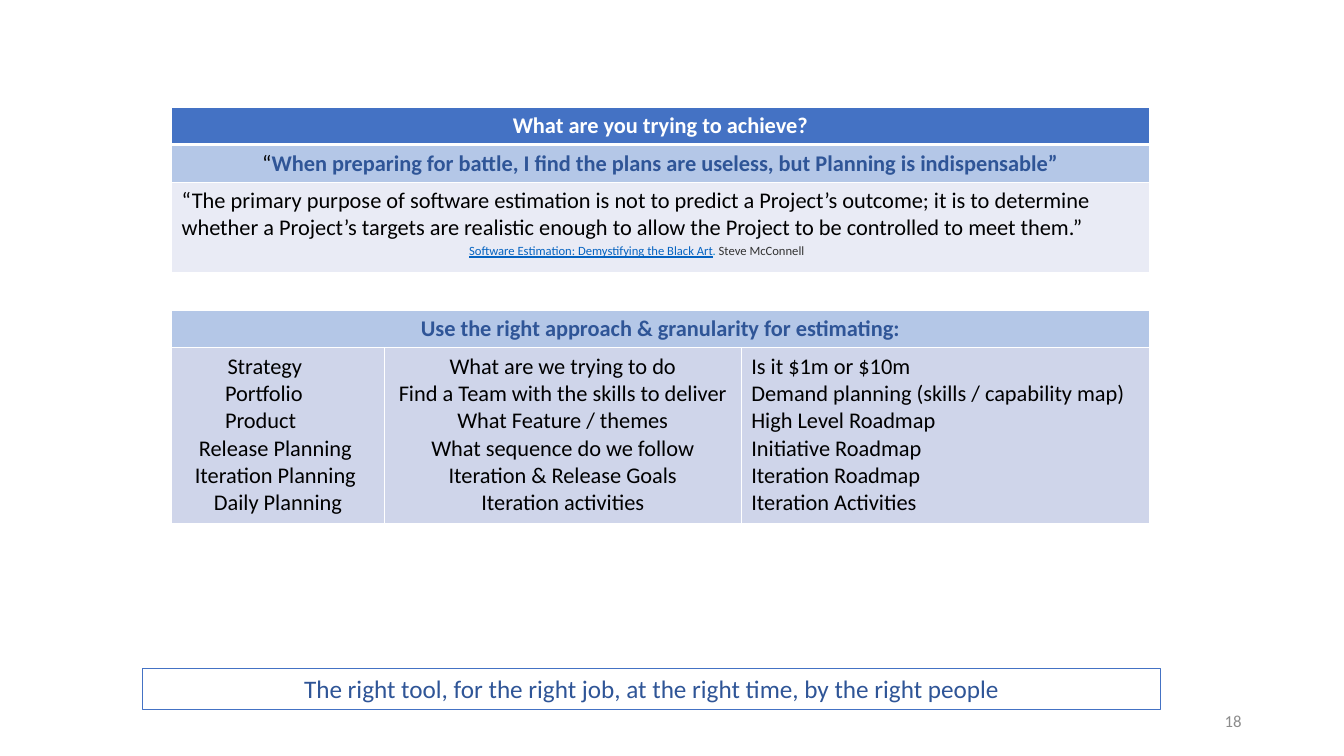
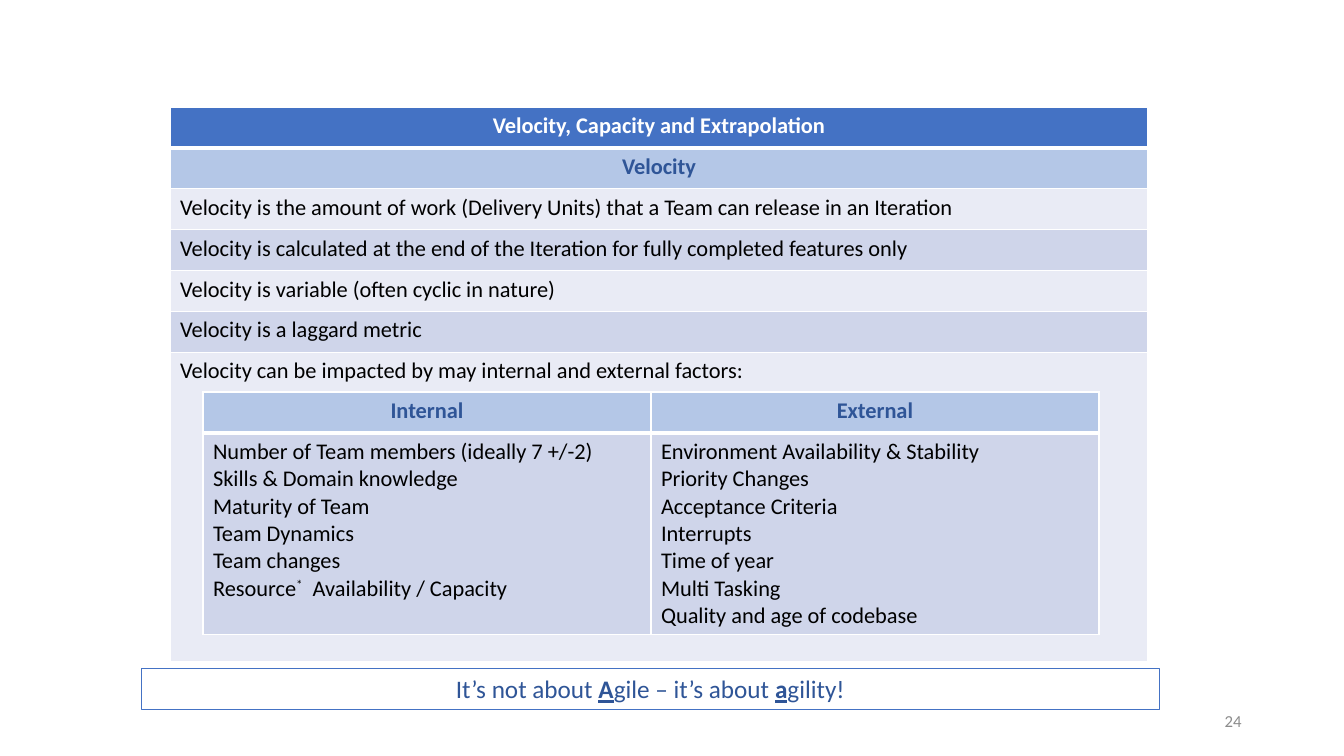
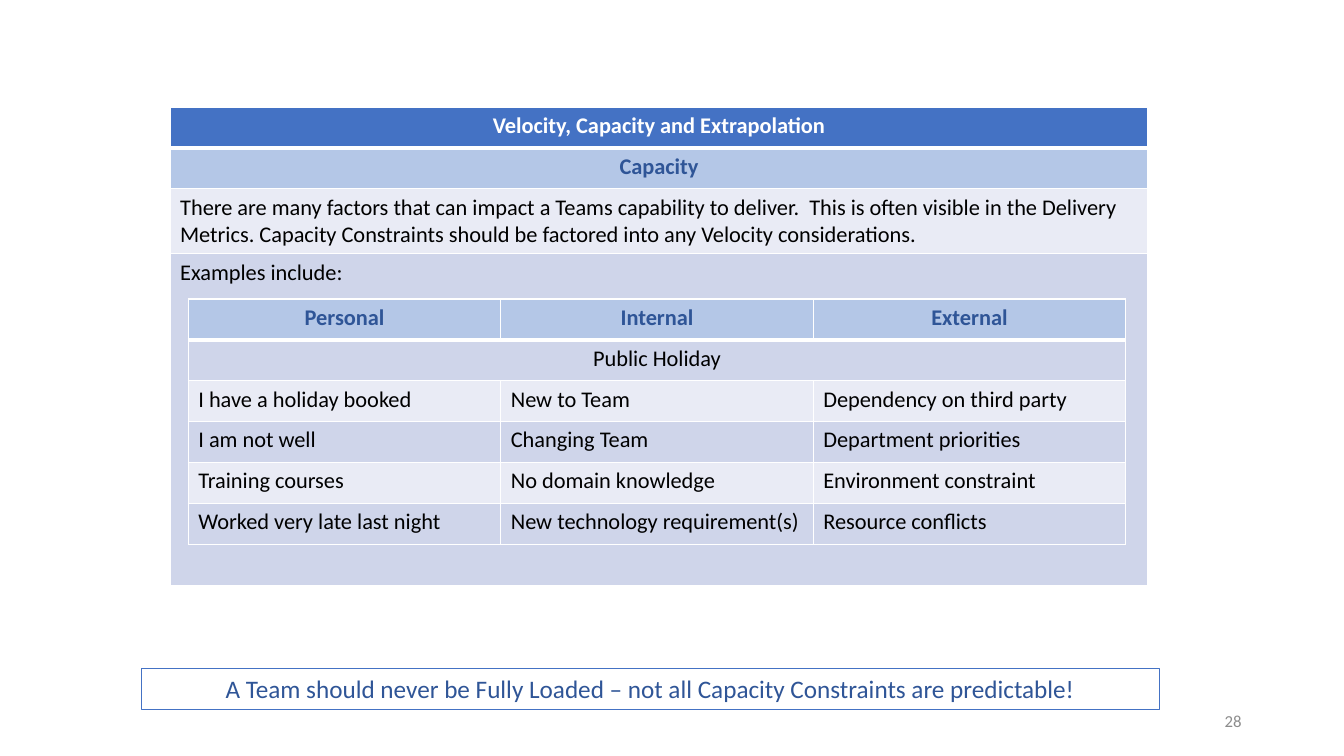
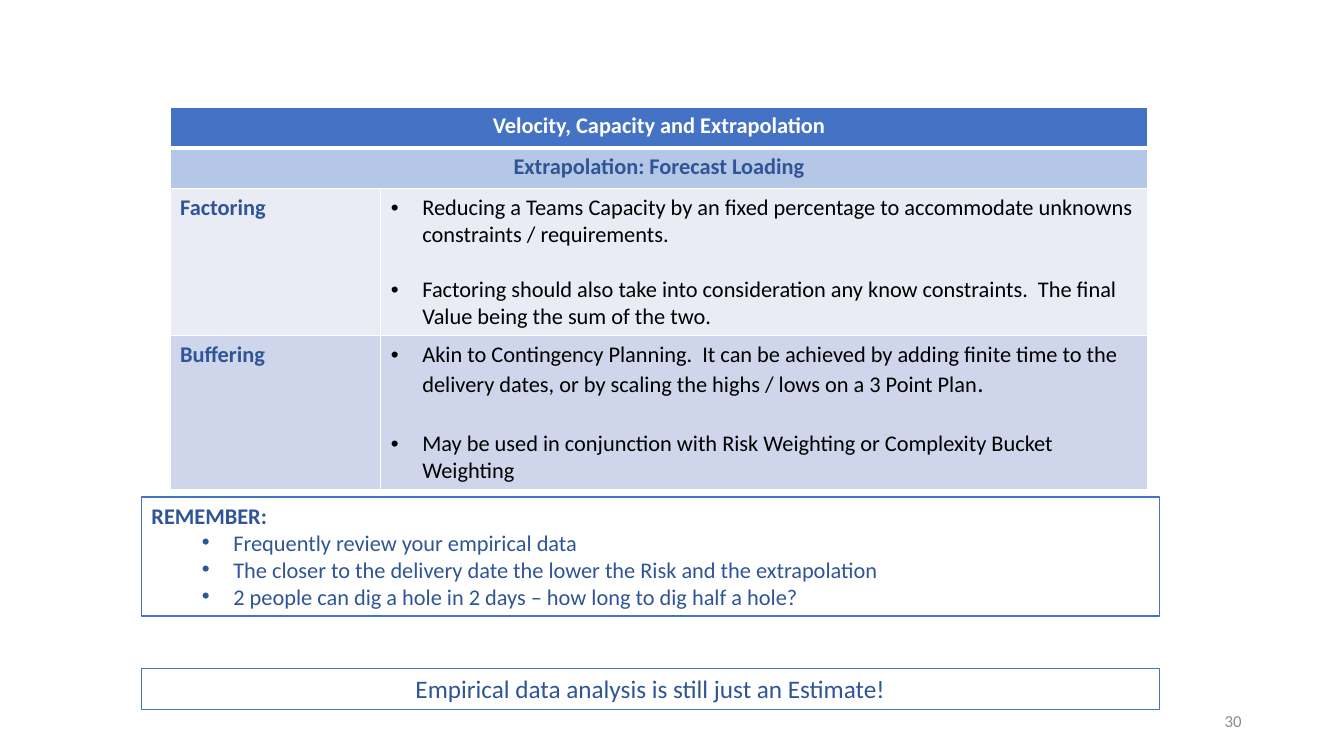
from collections import namedtuple
from lxml.etree import SubElement as Sub
from pptx import Presentation
from pptx.dml.color import RGBColor as Rgb
from pptx.enum.text import MSO_ANCHOR as Anchor, MSO_AUTO_SIZE as Auto, PP_ALIGN as Align
from pptx.oxml import parse_xml
from pptx.oxml.ns import qn
from pptx.util import Pt

As = namedtuple("As", "look text")
Look = namedtuple("Look", "color bold align size dent gap", defaults=(False, Align.LEFT, 16, None, 0))
Row = namedtuple("Row", "kind high cells")
Grid = namedtuple("Grid", "left top cols rows")


class Theme:
    font = "Calibri"
    blue, navy, sky = "4472C4", "2F5597", "B4C7E7"
    pale, deep, white, black = "E9EBF5", "CFD5EA", "FFFFFF", "000000"
    rule, thick, edge = 1, 3, 0.75
    hang = 22.5
    fills = {"head": blue, "sub": sky, "pale": pale, "deep": deep, "gap": white}
    looks = {
        "head": Look(white, True, Align.CENTER),
        "sub": Look(navy, True, Align.CENTER),
        "pale": Look(black),
        "deep": Look(black),
        "gap": Look(black),
        "mid": Look(black, align=Align.CENTER),
        "label": Look(navy, True),
        "list": Look(black, dent=hang, gap=19.5),
        "loose": Look(black, dent=hang, gap=22),
        "inner": Look(navy, dent=58.5),
        "banner": Look(navy, align=Align.CENTER, size=18),
        "note": Look("333333", size=9),
        "page": Look("8C8C8C", align=Align.RIGHT, size=12),
    }
    marks = {
        "plain": {"color": black, "bold": False},
        "strong": {"bold": True, "line": True},
        "title": {"color": "0563C1", "line": True},
        "stop": {"color": "0088CC"},
        "large": {"size": 18},
        "raised": {"base": 30000},
    }


LINE = 29.2
WIDE = 698.5
LEFT, TOP = 121.5, 76.5
BANNER = (101, 477.5, 727, LINE)
RECALL = (101, 355, 727, 85)
NOTE = (328, 170, 262, 18)
PAGE = (678, 500.5, 216, 28.8)
TOPIC = "Velocity, Capacity and Extrapolation"


def opening(name, *rows):
    return [Row("head", LINE, [TOPIC]), Row("sub", LINE, [name]), *rows]


SLIDES = [
    {
        "page": "18",
        "shift": 1,
        "banner": "The right tool, for the right job, at the right time, by the right people",
        "note": [(
            ("Software Estimation: Demystifying the Black Art", "title"),
            (". ", "stop"),
            ("Steve McConnell", None),
        )],
        "grids": [Grid(LEFT, TOP, [152, 255, 291.5], [
            Row("head", 26.5, ["What are you trying to achieve?"]),
            Row("sub", 26.5, [[(
                ("“", "plain"),
                ("When preparing for battle, I find the plans are useless, but Planning is indispensable”", None),
            )]]),
            Row("pale", 64.5, ["“The primary purpose of software estimation is not to predict a Project’s outcome; it is to determine whether a Project’s targets are realistic enough to allow the Project to be controlled to meet them.”"]),
            Row("gap", 27, [""]),
            Row("sub", 26.5, ["Use the right approach & granularity for estimating:"]),
            Row("deep", 125.5, [
                As("mid", [
                    "Strategy \t", "Portfolio \t ", "Product \t ",
                    "Release Planning ", "Iteration Planning ", "Daily Planning",
                ]),
                As("mid", [
                    "What are we trying to do",
                    "Find a Team with the skills to deliver What Feature / themes",
                    "What sequence do we follow",
                    "Iteration & Release Goals",
                    "Iteration activities",
                ]),
                [
                    "Is it $1m or $10m", "Demand planning (skills / capability map)",
                    "High Level Roadmap", "Initiative Roadmap",
                    "Iteration Roadmap", "Iteration Activities",
                ],
            ]),
        ])],
    },
    {
        "page": "24",
        "banner": [(
            ("It’s not about ", None), ("A", "strong"), ("gile – it’s about ", None),
            ("a", "strong"), ("gility!", None),
        )],
        "grids": [
            Grid(LEFT, TOP, [WIDE], opening(
                "Velocity",
                Row("pale", LINE, ["Velocity is the amount of work (Delivery Units) that a Team can release in an Iteration"]),
                Row("deep", LINE, ["Velocity is calculated at the end of the Iteration for fully completed features only"]),
                Row("pale", LINE, ["Velocity is variable (often cyclic in nature)"]),
                Row("deep", LINE, ["Velocity is a laggard metric"]),
                Row("pale", 221, ["Velocity can be impacted by may internal and external factors:"]),
            )),
            Grid(145, 280, [320] * 2, [
                Row("sub", LINE, ["Internal", "External"]),
                Row("deep", 142, [
                    [
                        "Number of Team members (ideally 7 +/-2)", "Skills & Domain knowledge",
                        "Maturity of Team", "Team Dynamics", "Team changes",
                        (("Resource", None), ("*", "raised"), ("  Availability / Capacity", None)),
                    ],
                    [
                        "Environment Availability & Stability", "Priority Changes",
                        "Acceptance Criteria", "Interrupts", "Time of year",
                        "Multi Tasking", "Quality and age of codebase",
                    ],
                ]),
            ]),
        ],
    },
    {
        "page": "28",
        "banner": "A Team should never be Fully Loaded – not all Capacity Constraints are predictable!",
        "grids": [
            Grid(LEFT, TOP, [WIDE], opening(
                "Capacity",
                Row("pale", 45.5, ["There are many factors that can impact a Teams capability to deliver.  This is often visible in the Delivery Metrics. Capacity Constraints should be factored into any Velocity considerations."]),
                Row("deep", 237, ["Examples include:"]),
            )),
            Grid(134.5, 213.5, [223.2] * 3, [
                Row("sub", LINE, ["Personal", "Internal", "External"]),
                Row("deep", LINE, [As("mid", "Public Holiday")]),
                Row("pale", LINE, ["I have a holiday booked", "New to Team", "Dependency on third party"]),
                Row("deep", LINE, ["I am not well", "Changing Team", "Department priorities"]),
                Row("pale", LINE, ["Training courses", "No domain knowledge", "Environment constraint"]),
                Row("deep", LINE, ["Worked very late last night", "New technology requirement(s)", "Resource conflicts"]),
            ]),
        ],
    },
    {
        "page": "30",
        "banner": "Empirical data analysis is still just an Estimate!",
        "recall": ("REMEMBER:", [
            "Frequently review your empirical data",
            "The closer to the delivery date the lower the Risk and the extrapolation",
            "2 people can dig a hole in 2 days – how long to dig half a hole?",
        ]),
        "grids": [Grid(LEFT, TOP, [150.5, 548], opening(
            "Extrapolation: Forecast Loading",
            Row("pale", 105, [
                As("label", "Factoring"),
                As("list", [
                    "Reducing a Teams Capacity by an fixed percentage to accommodate unknowns constraints / requirements.",
                    "Factoring should also take into consideration any know constraints.  The final Value being the sum of the two.",
                ]),
            ]),
            Row("deep", 109, [
                As("label", "Buffering"),
                As("loose", [
                    (
                        ("Akin to Contingency Planning.  It can be achieved by adding finite time to the delivery dates, or by scaling the highs / lows on a 3 Point Plan", None),
                        (".", "large"),
                    ),
                    "May be used in conjunction with Risk Weighting or Complexity Bucket Weighting",
                ]),
            ]),
        ))],
    },
]


def style(run, look, mark):
    opts = Theme.marks.get(mark, {})
    font = run.font
    font.name = Theme.font
    font.size = Pt(opts.get("size", look.size))
    font.bold = opts.get("bold", look.bold)
    font.underline = opts.get("line", False)
    font.color.rgb = Rgb.from_string(opts.get("color", look.color))
    if "base" in opts:
        run._r.get_or_add_rPr().set("baseline", str(opts["base"]))


def bullet(para, dent):
    props = para._p.get_or_add_pPr()
    props.set("marL", str(Pt(dent or 0)))
    props.set("indent", str(-Pt(Theme.hang) if dent else 0))
    if dent:
        Sub(props, qn("a:buFont")).set("typeface", "Arial")
        Sub(props, qn("a:buChar")).set("char", "•")
    else:
        Sub(props, qn("a:buNone"))


def put(frame, text, name, more=False):
    look = Theme.looks[name]
    for i, item in enumerate(text if isinstance(text, list) else [text]):
        para = frame.add_paragraph() if i or more else frame.paragraphs[0]
        para.alignment = look.align
        para.space_before = Pt(look.gap if i else 0)
        bullet(para, look.dent)
        parts = [(item, None)] if isinstance(item, str) else item
        for words, mark in parts:
            if words:
                run = para.add_run()
                run.text = words
                style(run, look, mark)


def border(cell, top, base):
    props = cell._tc.get_or_add_tcPr()
    sides = {"L": Theme.rule, "R": Theme.rule, "T": top, "B": base}
    for i, (side, size) in enumerate(sides.items()):
        space = 'xmlns:a="http://schemas.openxmlformats.org/drawingml/2006/main"'
        props.insert(i, parse_xml(
            f'<a:ln{side} {space} w="{Pt(size)}"><a:solidFill>'
            f'<a:srgbClr val="{Theme.white}"/></a:solidFill></a:ln{side}>'))


def draw(slide, grid, shift):
    rows, cols = grid.rows, grid.cols
    spot = (grid.left + shift, grid.top, sum(cols), sum(row.high for row in rows))
    table = slide.shapes.add_table(len(rows), len(cols), *map(Pt, spot)).table
    table.horz_banding = False
    for col, wide in zip(table.columns, cols):
        col.width = Pt(wide)
    for r, row in enumerate(rows):
        table.rows[r].height = Pt(row.high)
        for c in range(len(cols)):
            cell = table.cell(r, c)
            cell.fill.solid()
            cell.fill.fore_color.rgb = Rgb.from_string(Theme.fills[row.kind])
            border(cell, Theme.thick if r == 1 else Theme.rule, Theme.thick if r == 0 else Theme.rule)
            if row.kind == "gap":
                cell.margin_top = cell.margin_bottom = 0
        if len(row.cells) < len(cols):
            table.cell(r, 0).merge(table.cell(r, len(cols) - 1))
        for c, item in enumerate(row.cells):
            look, text = item if isinstance(item, As) else (row.kind, item)
            put(table.cell(r, c).text_frame, text, look)


def place(shape, spot, anchor, shift=0):
    left, top, wide, high = spot
    shape.left, shape.top = Pt(left + shift), Pt(top)
    shape.width, shape.height = Pt(wide), Pt(high)
    frame = shape.text_frame
    frame.word_wrap = True
    frame.auto_size = Auto.NONE
    frame.vertical_anchor = anchor
    return frame


def frame_in(shape, spot, shift=0):
    shape.line.color.rgb = Rgb.from_string(Theme.blue)
    shape.line.width = Pt(Theme.edge)
    return place(shape, spot, Anchor.TOP, shift)


def label(slide, text, spot, look):
    box = slide.shapes.add_textbox(*map(Pt, spot))
    put(place(box, spot, Anchor.MIDDLE), text, look)


def build(deck, data):
    slide = deck.slides.add_slide(deck.slide_layouts[1 if "recall" in data else 5])
    shift = data.get("shift", 0)
    put(frame_in(slide.shapes.title, BANNER, shift), data["banner"], "banner")
    for grid in data["grids"]:
        draw(slide, grid, shift)
    if "recall" in data:
        head, points = data["recall"]
        frame = frame_in(slide.placeholders[1], RECALL)
        put(frame, head, "label")
        put(frame, points, "inner", more=True)
        for para in frame.paragraphs[1:]:
            para.level = 1
    if "note" in data:
        label(slide, data["note"], NOTE, "note")
    label(slide, data["page"], PAGE, "page")


def main():
    deck = Presentation()
    deck.slide_width, deck.slide_height = Pt(960), Pt(540)
    for data in SLIDES:
        build(deck, data)
    deck.save("out.pptx")


if __name__ == "__main__":
    main()
